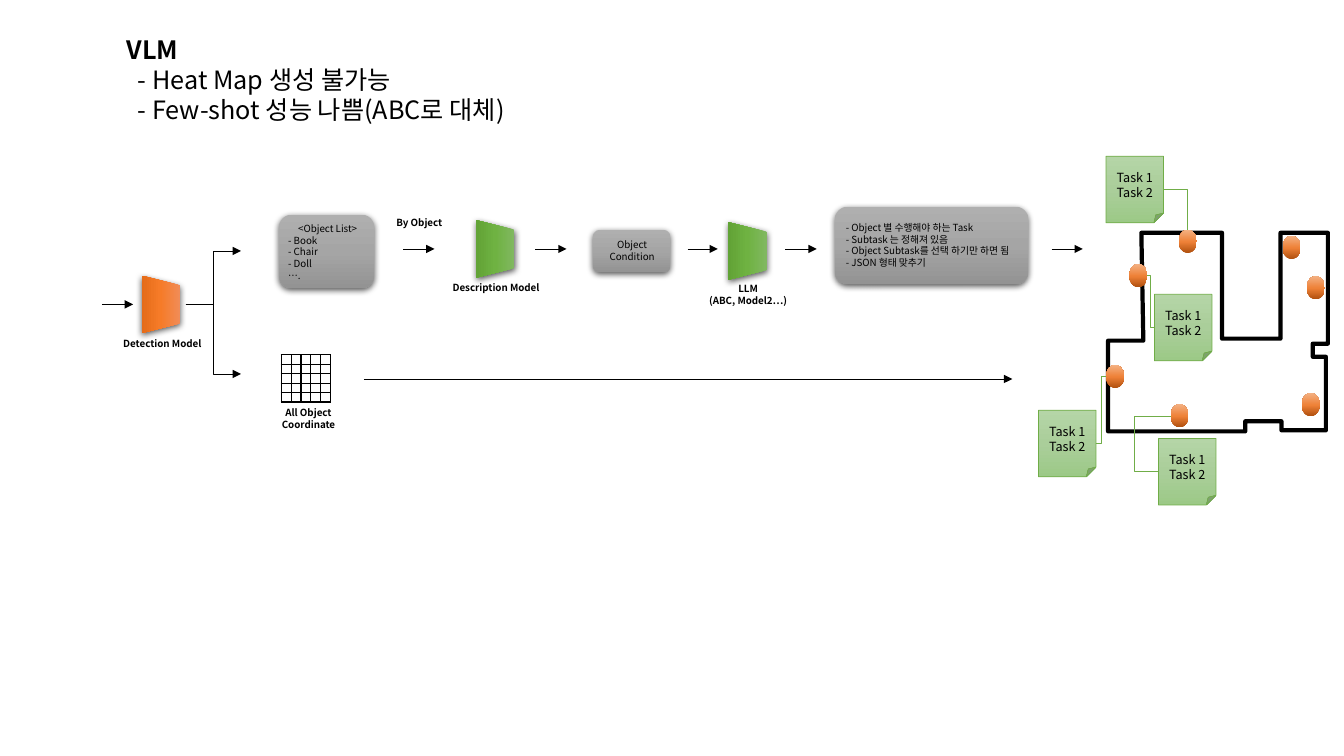
"""Build a slide that maps detected objects to tasks on a floor plan."""
from lxml import etree
from pptx import Presentation
from pptx.dml.color import RGBColor
from pptx.enum.shapes import MSO_CONNECTOR, MSO_SHAPE
from pptx.enum.text import MSO_ANCHOR, PP_ALIGN
from pptx.oxml.ns import qn
from pptx.util import Inches, Pt

ROUND, TRAP = MSO_SHAPE.ROUNDED_RECTANGLE, MSO_SHAPE.TRAPEZOID
OVAL, NOTE = MSO_SHAPE.OVAL, MSO_SHAPE.FOLDED_CORNER
BENT, FLAT = MSO_CONNECTOR.ELBOW, MSO_CONNECTOR.STRAIGHT
LEFT, MID = PP_ALIGN.LEFT, PP_ALIGN.CENTER
CENTRE = MSO_ANCHOR.MIDDLE
FONT = "Noto Sans CJK KR"
UNIT = Inches(0.01)
BLACK, LEAF = "000000", "70AD47"
GREY = [(0, "AFAFAF"), (50, "A5A5A5"), (100, "939393")]
GREEN = [(0, "81B861"), (50, "6FB242"), (100, "62A336")]
AMBER = [(0, "F18C57"), (50, "F67B28"), (100, "E56C19")]
PALE = [(0, "B5D5A7"), (50, "AACE9A"), (100, "9CC987")]
RUST = [(0, "B0500F"), (48, "EE8137"), (100, "F4B183")]
hue = RGBColor.from_string


def write(frame, text, size=7, bold=False, align=LEFT, indent=0):
    """Add each line of text to the frame as a paragraph."""
    frame.word_wrap = True
    for line in text.split("\n"):
        para = frame.add_paragraph() if frame.text else frame.paragraphs[0]
        para.alignment = align
        if indent:
            para._p.get_or_add_pPr().set("marL", str(indent * UNIT))
        run = para.add_run()
        run.text = line
        run.font.size, run.font.bold = Pt(size), bold
        run.font.color.rgb = hue(BLACK)
        run.font.name = FONT
        east = etree.SubElement(run.font._element, qn("a:ea"))
        east.set("typeface", FONT)


def draw(kind, box, stops, angle=90, edge=None, shade=False):
    """Add a shape with a gradient fill, and an edge or a shadow."""
    shape = slide.shapes.add_shape(kind, *(v * UNIT for v in box))
    shape.fill.background()
    props = shape._element.spPr
    grad = etree.Element(qn("a:gradFill"), rotWithShape="1")
    ramp = etree.SubElement(grad, qn("a:gsLst"))
    for pos, tone in stops:
        stop = etree.SubElement(ramp, qn("a:gs"), pos=str(pos * 1000))
        etree.SubElement(stop, qn("a:srgbClr"), val=tone)
    etree.SubElement(grad, qn("a:lin"), ang=str(angle * 60000), scaled="0")
    props.replace(props.find(qn("a:noFill")), grad)
    if edge:
        shape.line.color.rgb = hue(edge)
        shape.line.width = Pt(0.5)
    else:
        shape.line.fill.background()
    shape.shadow.inherit = False
    if shade:
        cast = etree.SubElement(
            props.find(qn("a:effectLst")), qn("a:outerShdw"),
            blurRad=str(Pt(4.5)), dist=str(Pt(1.5)), dir="5400000",
            algn="ctr", rotWithShape="0")
        tint = etree.SubElement(cast, qn("a:srgbClr"), val=BLACK)
        etree.SubElement(tint, qn("a:alpha"), val="63000")
    return shape


deck = Presentation()
deck.slide_width, deck.slide_height = 1333 * UNIT, 750 * UNIT
slide = deck.slides.add_slide(deck.slide_layouts[6])

for box in [(277, 213, 94, 73), (588, 228, 77, 42), (828, 205, 192, 77)]:
    draw(ROUND, box, GREY, shade=True)
for left, top, stops in [(463, 228, GREEN), (713, 230, GREEN), (131, 283, AMBER)]:
    draw(TRAP, (left, top, 57, 38), stops, shade=True).rotation = 90

ACTS = """- Object 별 수행해야 하는 Task
- Subtask 는 정해져 있음
- Object Subtask를 선택 하기만 하면 됨
- JSON 형태 맞추기"""
HEAD = dict(bold=True, align=MID)
LABELS = [
    ((437, 275, 110, 22), [("Description Model", HEAD)]),
    ((584, 232, 86, 34), [("Object Condition", dict(align=MID))]),
    ((686, 276, 112, 34), [("LLM\n(ABC, Model2…)", HEAD)]),
    ((829, 215, 201, 57), [(ACTS, {})]),
    ((106, 330, 110, 22), [("Detection Model", HEAD)]),
    ((276, 216, 98, 69), [("<Object List>", dict(align=MID)),
                          ("- Book\n- Chair\n- Doll\n….", {})]),
    ((361, 210, 110, 22), [("By Object", HEAD)]),
    ((251, 399, 110, 34), [("All Object Coordinate", HEAD)]),
    ((116, 29, 640, 101), [
        ("VLM", dict(size=18, bold=True)),
        ("- Heat Map 생성 불가능\n- Few-shot 성능 나쁨(ABC로 대체)",
         dict(size=18, indent=11))]),
]
for box, parts in LABELS:
    frame = slide.shapes.add_textbox(*(v * UNIT for v in box)).text_frame
    for text, style in parts:
        write(frame, text, **style)

SIDE = 5
grid = slide.shapes.add_table(
    SIDE, SIDE, 279 * UNIT, 352 * UNIT, 49 * UNIT, 47 * UNIT).table
grid.first_row = grid.horz_banding = False
for row in grid.rows:
    row.height = 47 * UNIT // SIDE
for cell in grid.iter_cells():
    cell.margin_left = cell.margin_right = 0
    cell.margin_top = cell.margin_bottom = 0
    mark = cell.text_frame.paragraphs[0]._p
    etree.SubElement(mark, qn("a:endParaRPr"), sz="100")
    props = cell._tc.get_or_add_tcPr()
    for edge in ("lnL", "lnR", "lnT", "lnB"):
        rule = etree.SubElement(props, qn("a:" + edge), w=str(Pt(1)))
        ink = etree.SubElement(rule, qn("a:solidFill"))
        etree.SubElement(ink, qn("a:srgbClr"), val=BLACK)
    cell.fill.background()

WALL = [(1132, 231), (1212, 231), (1212, 336), (1270, 336), (1270, 231),
        (1317, 231), (1317, 341), (1302, 341), (1302, 354), (1315, 354),
        (1315, 427), (1271, 427), (1271, 418), (1235, 418), (1235, 428),
        (1099, 428), (1099, 338), (1134, 338)]
path = slide.shapes.build_freeform(*WALL[0], scale=UNIT)
path.add_line_segments(WALL[1:], close=True)
plan = path.convert_to_shape()
plan.fill.background()
plan.line.color.rgb = hue(BLACK)
plan.line.width = Pt(3)
plan.shadow.inherit = False

SPOTS = [(1120, 262), (1097, 362), (1161, 401), (1291, 390),
         (1169, 228), (1296, 274), (1272, 234)]
for left, top in SPOTS:
    draw(OVAL, (left, top, 18, 23), RUST, angle=270)
for left, top in [(1097, 155), (1145, 292), (1030, 407), (1149, 435)]:
    note = draw(NOTE, (left, top, 57, 66), PALE, edge=LEAF)
    note.text_frame.vertical_anchor = CENTRE
    write(note.text_frame, "Task 1\nTask 2", size=9, align=MID)

STEPS = [(101, 302, 132), (400, 247, 431), (531, 247, 562), (682, 247, 712),
         (779, 247, 810), (1043, 247, 1074), (361, 376, 1004)]
LINKS = [(FLAT, (left, y, right, y), BLACK, None) for left, y, right in STEPS]
LINKS += [(BENT, (184, 302, 239, y), BLACK, 50) for y in (249, 371)]
LINKS += [
    (BENT, (1154, 188, 1178, 228), LEAF, 100),
    (BENT, (1145, 325, 1138, 273), LEAF, 50),
    (BENT, (1087, 440, 1097, 373), LEAF, 50),
    (BENT, (1149, 468, 1161, 413), LEAF, -203),
]
for kind, ends, tone, bend in LINKS:
    link = slide.shapes.add_connector(kind, *(v * UNIT for v in ends))
    link.line.color.rgb = hue(tone)
    link.line.width = Pt(0.5)
    props = link._element.spPr
    if tone == BLACK:
        etree.SubElement(props.find(qn("a:ln")), qn("a:tailEnd"), type="triangle")
    if bend is not None:
        turns = props.find(qn("a:prstGeom")).find(qn("a:avLst"))
        etree.SubElement(turns, qn("a:gd"), name="adj1", fmla=f"val {bend * 1000}")
    etree.SubElement(props, qn("a:effectLst"))

deck.save("out.pptx")
